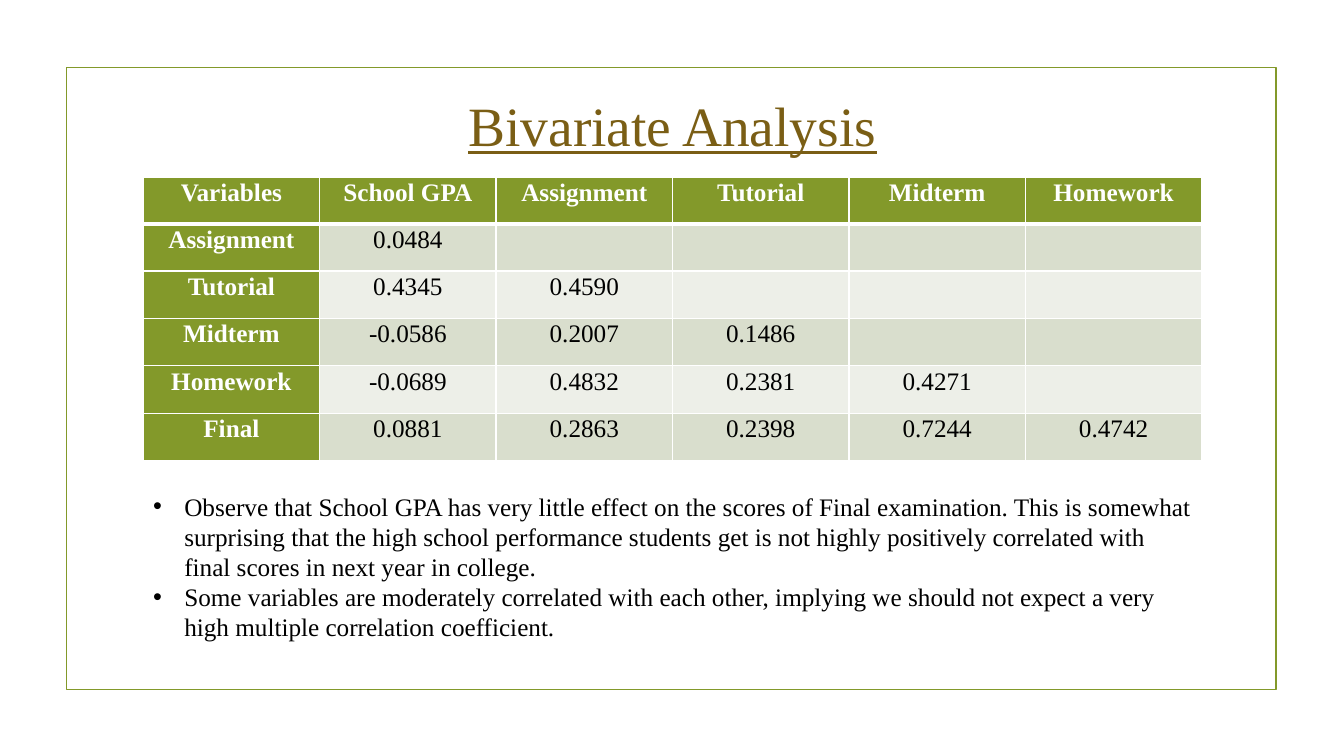
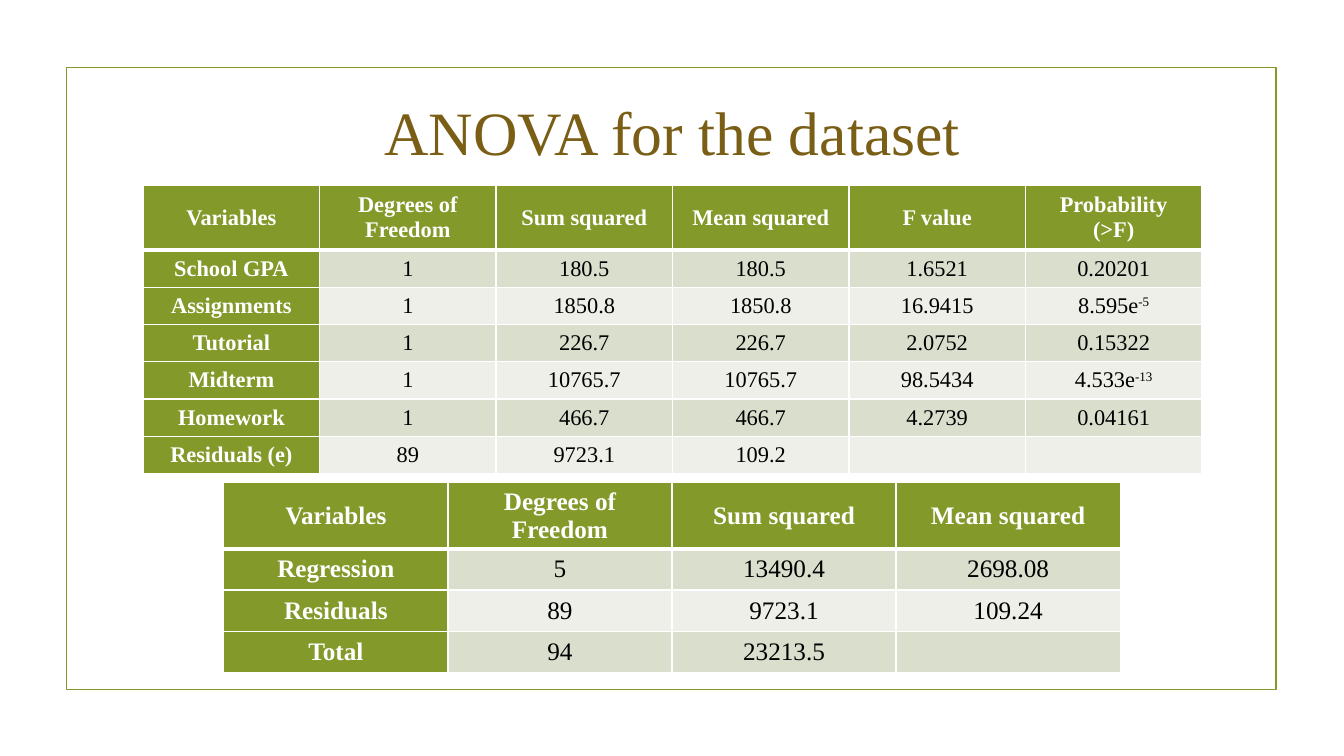
from dataclasses import dataclass

from lxml import etree
from pptx import Presentation
from pptx.dml.color import RGBColor
from pptx.enum.shapes import MSO_SHAPE
from pptx.enum.text import MSO_ANCHOR, PP_ALIGN
from pptx.oxml.ns import qn
from pptx.util import Inches, Pt

RECTANGLE = MSO_SHAPE.RECTANGLE
TOP, MIDDLE = MSO_ANCHOR.TOP, MSO_ANCHOR.MIDDLE
LEFT, CENTER = PP_ALIGN.LEFT, PP_ALIGN.CENTER
TITLE_ONLY = 5


@dataclass(frozen=True)
class Theme:
    font: str = "Times New Roman"
    green: str = "83992A"
    brown: str = "7A5E15"
    white: str = "FFFFFF"
    black: str = "000000"
    bands: tuple = ("D9DECD", "EDEFE8")
    body_size: float = 18
    small_size: float = 16
    frame_line: float = 1.25
    thin_border: float = 1
    thick_border: float = 3


THEME = Theme()
SLIDE_WIDTH, SLIDE_HEIGHT = 13.33, 7.5
FRAME = (0.66, 0.67, 12, 6.17)
MARGIN, CONTENT_WIDTH = 1.42, 10.5

CORRELATIONS = [
    ["Variables", "School GPA", "Assignment", "Tutorial", "Midterm", "Homework"],
    ["Assignment", "0.0484", "", "", "", ""],
    ["Tutorial", "0.4345", "0.4590", "", "", ""],
    ["Midterm", "-0.0586", "0.2007", "0.1486", "", ""],
    ["Homework", "-0.0689", "0.4832", "0.2381", "0.4271", ""],
    ["Final", "0.0881", "0.2863", "0.2398", "0.7244", "0.4742"],
]
FINDINGS = (
    "Observe that School GPA has very little effect on the scores of Final "
    "examination. This is somewhat surprising that the high school performance "
    "students get is not highly positively correlated with final scores in next "
    "year in college.\n"
    "Some variables are moderately correlated with each other, implying we should "
    "not expect a very high multiple correlation coefficient."
)
VARIANCE = [
    ["Variables", "Degrees of Freedom", "Sum squared", "Mean squared", "F value",
     "Probability\n(>F)"],
    ["School GPA", "1", "180.5", "180.5", "1.6521", "0.20201"],
    ["Assignments", "1", "1850.8", "1850.8", "16.9415", "8.595e^-5"],
    ["Tutorial", "1", "226.7", "226.7", "2.0752", "0.15322"],
    ["Midterm", "1", "10765.7", "10765.7", "98.5434", "4.533e^-13"],
    ["Homework", "1", "466.7", "466.7", "4.2739", "0.04161"],
    ["Residuals (e)", "89", "9723.1", "109.2", "", ""],
]
VARIANCE_SUMMARY = [
    ["Variables", "Degrees of Freedom", "Sum squared", "Mean squared"],
    ["Regression", "5", "13490.4", "2698.08"],
    ["Residuals", "89", "9723.1", "109.24"],
    ["Total", "94", "23213.5", ""],
]

SLIDES = [
    {
        "title": dict(text="Bivariate Analysis", top=0.82, height=0.82,
                      size=39.6, underline=True),
        "tables": [
            dict(rows=CORRELATIONS, left=MARGIN, top=1.76, width=CONTENT_WIDTH,
                 header_height=0.46, row_height=0.47, anchor=TOP,
                 insets=(0.07, 0), spacing=1.07),
        ],
        "bullets": dict(text=FINDINGS, top=4.82, height=1.62),
    },
    {
        "title": dict(text="ANOVA for the dataset", top=0.76, height=1.07, size=44),
        "tables": [
            dict(rows=VARIANCE, left=MARGIN, top=1.84, width=CONTENT_WIDTH,
                 header_height=0.64, row_height=0.37, size=THEME.small_size),
            dict(rows=VARIANCE_SUMMARY, left=2.22, top=4.79, width=8.89,
                 header_height=0.64, row_height=0.41),
        ],
    },
]


def rgb(value):
    return RGBColor.from_string(value)


def place(shape, left, top, width, height):
    shape.left, shape.top = Inches(left), Inches(top)
    shape.width, shape.height = Inches(width), Inches(height)


def write_text(text_frame, text, *, size=THEME.body_size, color=THEME.black,
               bold=False, underline=False, align=LEFT, spacing=None, bullet=None):
    text_frame.word_wrap = True
    for index, line in enumerate(text.split("\n")):
        para = text_frame.paragraphs[0] if index == 0 else text_frame.add_paragraph()
        para.alignment = align
        if spacing:
            para.line_spacing = spacing
        if bullet:
            add_bullet(para, bullet)
        if not line:
            end = etree.SubElement(para._p, qn("a:endParaRPr"))
            end.set("sz", str(int(size * 100)))
        for position, part in enumerate(line.split("^") if line else []):
            span = para.add_run()
            span.text = part
            span.font.name = THEME.font
            span.font.size = Pt(size)
            span.font.bold = bold
            span.font.underline = underline
            span.font.color.rgb = rgb(color)
            if position:
                span._r.get_or_add_rPr().set("baseline", "30000")


def add_bullet(para, character):
    indent = Inches(0.31)
    properties = para._p.get_or_add_pPr()
    properties.set("marL", str(indent))
    properties.set("indent", str(-indent))
    etree.SubElement(properties, qn("a:buFont")).set("typeface", "Arial")
    etree.SubElement(properties, qn("a:buChar")).set("char", character)


def set_borders(cell, **widths):
    properties = cell._tc.get_or_add_tcPr()
    for side in "LRTB":
        line = etree.SubElement(properties, qn(f"a:ln{side}"))
        line.set("w", str(Pt(widths.get(side, THEME.thin_border))))
        fill = etree.SubElement(line, qn("a:solidFill"))
        etree.SubElement(fill, qn("a:srgbClr")).set("val", THEME.white)


def add_grid(page, rows, left, top, width, header_height, row_height, *,
             size=THEME.body_size, anchor=MIDDLE, insets=(0.1, 0.05), spacing=None):
    columns = len(rows[0])
    height = header_height + row_height * (len(rows) - 1)
    table = page.shapes.add_table(len(rows), columns, Inches(left), Inches(top),
                                  Inches(width), Inches(height)).table
    for column in table.columns:
        column.width = Inches(width / columns)
    for row_index, values in enumerate(rows):
        table.rows[row_index].height = Inches(row_height if row_index else header_height)
        for column_index, value in enumerate(values):
            cell = table.cell(row_index, column_index)
            heading = row_index == 0 or column_index == 0
            if row_index == 0:
                set_borders(cell, B=THEME.thick_border)
            elif row_index == 1:
                set_borders(cell, T=THEME.thick_border)
            else:
                set_borders(cell)
            cell.fill.solid()
            cell.fill.fore_color.rgb = rgb(
                THEME.green if heading else THEME.bands[(row_index - 1) % 2])
            cell.vertical_anchor = anchor
            cell.margin_left = cell.margin_right = Inches(insets[0])
            cell.margin_top = cell.margin_bottom = Inches(insets[1])
            write_text(cell.text_frame, value, size=size, bold=heading,
                       color=THEME.white if heading else THEME.black,
                       align=CENTER, spacing=spacing)


def add_frame(page):
    frame = page.shapes.add_shape(RECTANGLE, *map(Inches, FRAME))
    frame.shadow.inherit = False
    frame.fill.background()
    frame.line.color.rgb = rgb(THEME.green)
    frame.line.width = Pt(THEME.frame_line)


def set_title(page, text, top, height, **style):
    title = page.shapes.title
    place(title, MARGIN, top, CONTENT_WIDTH, height)
    title.text_frame.vertical_anchor = MIDDLE
    write_text(title.text_frame, text, color=THEME.brown, align=CENTER, **style)


def add_bullets(page, text, top, height):
    box = page.shapes.add_textbox(Inches(MARGIN), Inches(top),
                                  Inches(CONTENT_WIDTH), Inches(height))
    write_text(box.text_frame, text, bullet="•")


def main():
    deck = Presentation()
    deck.slide_width, deck.slide_height = Inches(SLIDE_WIDTH), Inches(SLIDE_HEIGHT)
    for content in SLIDES:
        page = deck.slides.add_slide(deck.slide_layouts[TITLE_ONLY])
        add_frame(page)
        set_title(page, **content["title"])
        for grid in content["tables"]:
            add_grid(page, **grid)
        if "bullets" in content:
            add_bullets(page, **content["bullets"])
    deck.save("out.pptx")


if __name__ == "__main__":
    main()
